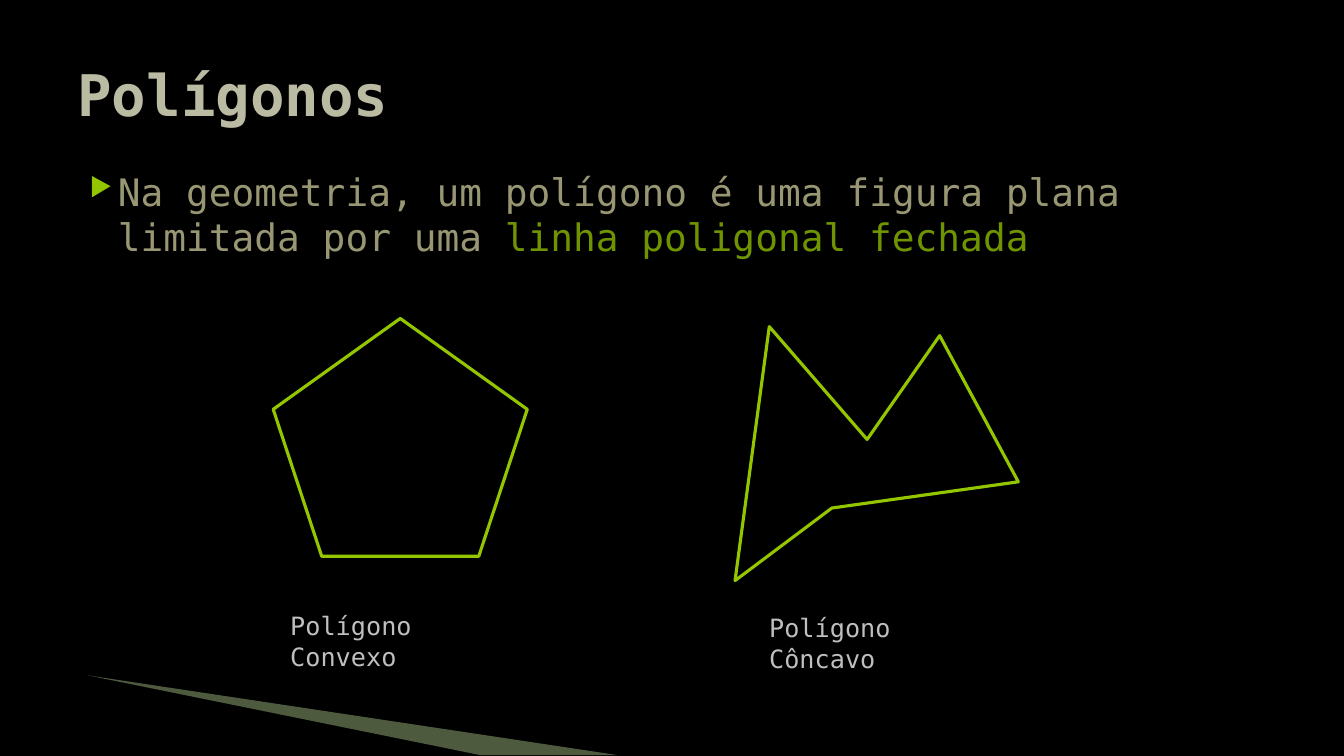
from dataclasses import dataclass

from lxml import etree
from pptx import Presentation, util as u
from pptx.dml import color as col
from pptx.enum import shapes, text
from pptx.oxml import ns

FONT = "DejaVu Sans Mono"
LIME, SAND = "94C600", "999773"


@dataclass
class Label:
    words: str
    left: float
    top: float
    width: float


@dataclass
class Run:
    words: str
    color: str


LABELS = [
    Label("Polígono Côncavo", 7.53, 6.03, 2.39),
    Label("Polígono Convexo", 2.78, 6.01, 2.41),
]
LINES = [
    [Run("Na geometria, um polígono é uma figura plana ", SAND)],
    [Run("limitada por uma ", SAND), Run("linha poligonal fechada", "6F9400")],
]
CONCAVE = [(7.29, 5.76), (7.63, 3.24), (8.6, 4.36),
           (9.32, 3.33), (10.1, 4.78), (8.25, 5.04)]
SLIVER = [(0.87, 6.7), (6.12, 7.49), (4.76, 7.49)]


def rgb(code: str) -> col.RGBColor:
    return col.RGBColor.from_string(code)


def style(font, size: float, color: str, bold: bool = False) -> None:
    font.name, font.size, font.bold = FONT, u.Pt(size), bold
    font.color.rgb = rgb(color)


def write(slide, words: str, left: float, top: float, width: float,
          height: float, *, size: float = 18, color: str = "BFBFBF",
          bold: bool = False, anchor=text.MSO_ANCHOR.TOP, grow: bool = False):
    """Add a wrapped text box and return its first paragraph."""
    box = slide.shapes.add_textbox(*map(u.Inches, (left, top, width, height)))
    frame = box.text_frame
    frame.word_wrap = True
    frame.vertical_anchor = anchor
    if grow:
        frame.auto_size = text.MSO_AUTO_SIZE.SHAPE_TO_FIT_TEXT
    para = frame.paragraphs[0]
    if words:
        run = para.add_run()
        run.text = words
        style(run.font, size, color, bold)
    return para


def trace(slide, points: list[tuple[float, float]]):
    """Add a closed freeform through points given in inches."""
    path = [(u.Inches(x), u.Inches(y)) for x, y in points]
    pen = slide.shapes.build_freeform(*path[0])
    pen.add_line_segments(path[1:], close=True)
    shape = pen.convert_to_shape()
    shape.shadow.inherit = False
    return shape


def outline(shape) -> None:
    shape.shadow.inherit = False
    shape.fill.background()
    shape.line.color.rgb = rgb(LIME)
    shape.line.width = u.Pt(2.25)


def bullet(para) -> None:
    props = para._p.get_or_add_pPr()
    props.set("marL", str(u.Inches(0.4)))
    props.set("indent", str(u.Inches(-0.28)))
    hue = etree.SubElement(props, ns.qn("a:buClr"))
    etree.SubElement(hue, ns.qn("a:srgbClr"), val=LIME)
    etree.SubElement(props, ns.qn("a:buSzPct"), val="68000")
    etree.SubElement(props, ns.qn("a:buChar"), char="▶")


def sweep(slide) -> None:
    """Add the translucent sliver at the foot."""
    shape = trace(slide, SLIVER)
    shape.line.fill.background()
    shape.fill.solid()
    shape.fill.fore_color.rgb = rgb("C3E19D")
    tint = shape._element.spPr.find(".//" + ns.qn("a:srgbClr"))
    etree.SubElement(tint, ns.qn("a:alpha"), val="40000")


def main() -> None:
    deck = Presentation()
    deck.slide_width, deck.slide_height = u.Inches(13.33), u.Inches(7.5)
    slide = deck.slides.add_slide(deck.slide_layouts[6])
    slide.background.fill.solid()
    slide.background.fill.fore_color.rgb = rgb("000000")

    sweep(slide)
    body = write(slide, "", 0.67, 1.62, 12, 5.67)
    bullet(body)
    for row, line in enumerate(LINES):
        if row:
            body.add_line_break()
        for part in line:
            run = body.add_run()
            run.text = part.words
            style(run.font, 27, part.color)
    write(slide, "Polígonos", 0.67, 0.3, 12, 1.25, size=41, color="BBBAA2",
          bold=True, anchor=text.MSO_ANCHOR.MIDDLE)

    convex = slide.shapes.add_shape(
        shapes.MSO_SHAPE.REGULAR_PENTAGON,
        *map(u.Inches, (2.71, 3.16, 2.52, 2.36)))
    for shape in (convex, trace(slide, CONCAVE)):
        outline(shape)
    for label in LABELS:
        write(slide, label.words, label.left, label.top, label.width, 0.4,
              grow=True)
    deck.save("out.pptx")


if __name__ == "__main__":
    main()
